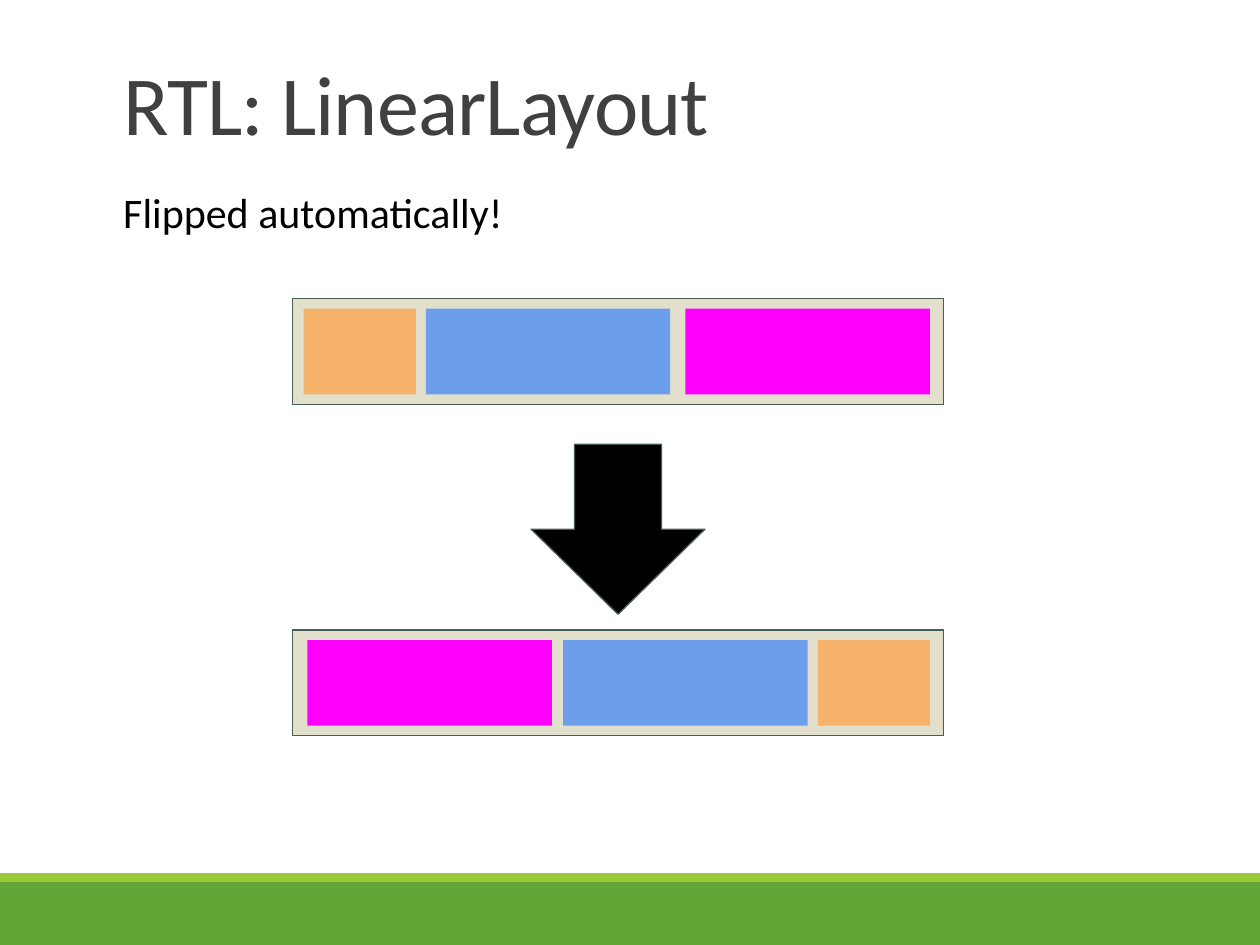
from pptx import Presentation
from pptx.dml.color import RGBColor
from pptx.enum.shapes import MSO_SHAPE as Shape
from pptx.enum.text import MSO_ANCHOR as Anchor
from pptx.util import Inches, Pt

# Content
TITLE = "RTL: LinearLayout"
SUBTITLE = "Flipped automatically!"
COLORS = {
    "title": "404040", "text": "000000", "arrow": "000000",
    "outline": "455F51", "panel": "E2DFCC",
    "orange": "F6B26B", "blue": "6D9EEB", "magenta": "FF00FF",
    "footer": "63A537", "stripe": "99CB38",
}
# Each layout: top, then its children as (color, left)
LAYOUTS = [
    (2.37, [("orange", 2.41), ("blue", 3.38), ("magenta", 5.44)]),
    (5.00, [("magenta", 2.44), ("blue", 4.47), ("orange", 6.49)]),
]
CHILD_WIDTHS = {"orange": 0.89, "blue": 1.94, "magenta": 1.94}

# Geometry in inches
SLIDE_W, SLIDE_H = 10, 7.5
FOOTER_H, STRIPE_H = 0.5, 0.07
MARGIN = 0.88
PANEL_LEFT, PANEL_W, PANEL_H = 2.32, 5.17, 0.84
CHILD_H = 0.68
CHILD_INSET = (PANEL_H - CHILD_H) / 2
ARROW_W, ARROW_H, ARROW_TOP = 1.35, 1.38, 3.51

presentation = Presentation()
presentation.slide_width, presentation.slide_height = Inches(SLIDE_W), Inches(SLIDE_H)
slide = presentation.slides.add_slide(presentation.slide_layouts[6])


def rgb(name):
    return RGBColor.from_string(COLORS[name])


def add_box(left, top, width, height, color, outlined=False, kind=Shape.RECTANGLE):
    shape = slide.shapes.add_shape(kind, *map(Inches, (left, top, width, height)))
    shape.shadow.inherit = False
    shape.fill.solid()
    shape.fill.fore_color.rgb = rgb(color)
    if outlined:
        shape.line.color.rgb = rgb("outline")
        shape.line.width = Pt(0.75)
    else:
        shape.line.fill.background()
    return shape


def add_text(text, left, top, width, height, size, color, anchor=Anchor.TOP, wrap=True):
    box = slide.shapes.add_textbox(*map(Inches, (left, top, width, height)))
    frame = box.text_frame
    frame.word_wrap = wrap
    frame.vertical_anchor = anchor
    paragraph = frame.paragraphs[0]
    paragraph.text = text
    paragraph.font.name = "Calibri"
    paragraph.font.size = Pt(size)
    paragraph.font.color.rgb = rgb(color)
    return paragraph


# Footer bands
footer_top = SLIDE_H - FOOTER_H
add_box(0, footer_top, SLIDE_W, FOOTER_H, "footer")
add_box(0, footer_top - STRIPE_H, SLIDE_W, STRIPE_H, "stripe")

# Title and subtitle
title = add_text(TITLE, MARGIN, 0.29, 8.25, 0.97, 48, "title", Anchor.BOTTOM)
title.line_spacing = 0.85
title.runs[0]._r.get_or_add_rPr().set("spc", "-50")
add_text(SUBTITLE, MARGIN, 1.43, 3.24, 0.5, 24, "text", wrap=False)

# Layout before and after flipping
for top, children in LAYOUTS:
    add_box(PANEL_LEFT, top, PANEL_W, PANEL_H, "panel", outlined=True)
    for color, left in children:
        add_box(left, top + CHILD_INSET, CHILD_WIDTHS[color], CHILD_H, color)

# Arrow between them, centred on the panels and turned to point down
arrow_left = PANEL_LEFT + (PANEL_W - ARROW_W) / 2
arrow = add_box(arrow_left, ARROW_TOP, ARROW_W, ARROW_H, "arrow", True, Shape.RIGHT_ARROW)
arrow.rotation = 90

presentation.save("out.pptx")
